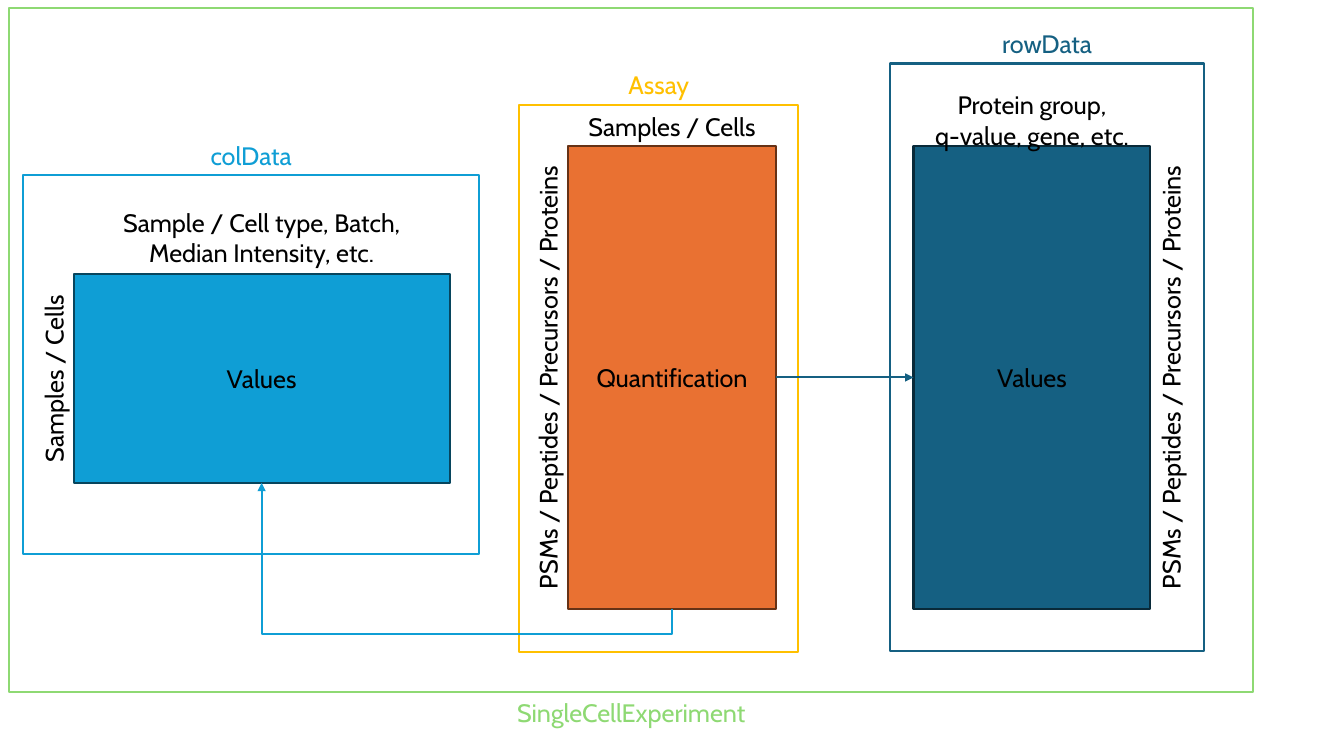
from dataclasses import dataclass

from lxml import etree
from pptx import Presentation
from pptx.dml.color import RGBColor
from pptx.enum.shapes import MSO_CONNECTOR, MSO_SHAPE
from pptx.enum.text import MSO_AUTO_SIZE, PP_ALIGN
from pptx.oxml.ns import qn
from pptx.util import Inches, Pt

RECT = MSO_SHAPE.RECTANGLE
STRAIGHT, ELBOW = MSO_CONNECTOR.STRAIGHT, MSO_CONNECTOR.ELBOW
CENTER, GROW = PP_ALIGN.CENTER, MSO_AUTO_SIZE.SHAPE_TO_FIT_TEXT

FONT, SIZE, STROKE = "Cabin", Pt(18), Pt(1.5)
HEX = {
    "black": "000000", "gold": "FFC000", "green": "8ED973",
    "orange": "E97132", "rust": "663216",
    "teal": "156082", "ink": "092A39",
    "blue": "0F9ED5", "navy": "07455D",
}

# All lengths are percent shares of the slide's width and height
WIDE, HIGH = Inches(13.33), Inches(7.5)
COL, ROW = WIDE / 100, HIGH / 100
LABEL = 5.33   # height of one line of text
DROP = 3.33    # depth of the elbow below the assay


@dataclass
class Box:
    x: float
    y: float
    w: float
    h: float

    @property
    def mid(self) -> float:
        return self.x + self.w / 2

    @property
    def center(self) -> float:
        return self.y + self.h / 2

    @property
    def right(self) -> float:
        return self.x + self.w

    @property
    def base(self) -> float:
        return self.y + self.h

    def place(self) -> tuple[int, int, int, int]:
        return (round(self.x * COL), round(self.y * ROW),
                round(self.w * COL), round(self.h * ROW))


@dataclass
class Panel:
    title: str
    hue: str
    frame: Box
    core: Box
    fill: str
    edge: str
    value: str
    head: str
    head_box: Box
    side: str
    on_left: bool = True


PANELS = [
    Panel("Assay", "gold", Box(38.63, 13.87, 20.78, 72.4),
          Box(42.24, 19.33, 15.53, 61.2), "orange", "rust", "Quantification",
          "Samples / Cells", Box(42.24, 14, 15.53, LABEL),
          "PSMs / Peptides / Precursors / Proteins"),
    Panel("rowData", "teal", Box(66.24, 8.4, 23.33, 77.73),
          Box(67.97, 19.33, 17.63, 61.2), "teal", "ink", "Values",
          "Protein group,\nq-value, gene, etc.", Box(67.97, 11.2, 17.63, 9.47),
          "PSMs / Peptides / Precursors / Proteins", False),
    Panel("colData", "blue", Box(1.73, 23.2, 33.91, 50.13),
          Box(5.48, 36.27, 27.98, 27.6), "blue", "navy", "Values",
          "Sample / Cell type, Batch, Median Intensity, etc.",
          Box(5.48, 26.8, 27.98, 9.47), "Samples / Cells"),
]
OUTER = Box(0.68, 1.07, 92.57, 90.53)


def tint(name: str) -> RGBColor:
    return RGBColor.from_string(HEX[name])


def add_rect(shapes, box: Box, edge: str, fill: str | None = None):
    rect = shapes.add_shape(RECT, *box.place())
    rect.shadow.inherit = False
    if fill:
        rect.fill.solid()
        rect.fill.fore_color.rgb = tint(fill)
    else:
        rect.fill.background()
    rect.line.color.rgb = tint(edge)
    rect.line.width = STROKE
    return rect


def add_text(shapes, box: Box, words: str, hue: str = "black"):
    text = shapes.add_textbox(*box.place())
    frame = text.text_frame
    frame.word_wrap = True
    frame.auto_size = GROW
    para = frame.paragraphs[0]
    para.alignment = CENTER
    for i, part in enumerate(words.split("\n")):
        if i:
            para.add_line_break()
        run = para.add_run()
        run.text = part
        run.font.name, run.font.size = FONT, SIZE
        run.font.color.rgb = tint(hue)
    return text


def add_side(shapes, panel: Panel) -> None:
    """Text turned upward, as long as the core is high, flush to its side."""
    core = panel.core
    tall, thick = core.h * ROW / COL, LABEL * ROW / COL
    mid = core.x - thick / 2 if panel.on_left else core.right + thick / 2
    box = Box(mid - tall / 2, core.center - LABEL / 2, tall, LABEL)
    add_text(shapes, box, panel.side).rotation = 270


def add_panel(shapes, panel: Panel):
    core, frame = panel.core, panel.frame
    rect = add_rect(shapes, core, panel.edge, panel.fill)
    add_text(shapes, Box(core.x, core.center - LABEL / 2, core.w, LABEL), panel.value)
    add_text(shapes, panel.head_box, panel.head)
    add_side(shapes, panel)
    add_rect(shapes, frame, panel.hue)
    add_text(shapes, Box(frame.x, frame.y - LABEL, frame.w, LABEL), panel.title, panel.hue)
    return rect


def add_arrow(shapes, kind, hue: str, ends: tuple[float, float, float, float]):
    arrow = shapes.add_connector(kind, *(round(end) for end in ends))
    arrow.line.color.rgb = tint(hue)
    arrow.line.width = STROKE
    etree.SubElement(arrow.line._get_or_add_ln(), qn("a:tailEnd"), type="triangle")
    etree.SubElement(arrow._element.spPr, qn("a:effectLst"))
    return arrow


def add_elbow(shapes, start: Box, end: Box, hue: str) -> None:
    """Base of start to base of end: a bent line turned by a quarter."""
    rise, run = (start.base - end.base) * ROW, (start.mid - end.mid) * COL
    mid = (start.mid + end.mid) / 2 * COL
    center = (start.base + end.base) / 2 * ROW
    arrow = add_arrow(shapes, ELBOW, hue, (
        mid + rise / 2, center - run / 2, mid - rise / 2, center + run / 2))
    props = arrow._element.spPr
    props.find(qn("a:xfrm")).set("rot", str(90 * 60000))
    bend = round(-DROP * ROW / rise * 100000)
    guides = props.find(qn("a:prstGeom")).find(qn("a:avLst"))
    etree.SubElement(guides, qn("a:gd"), name="adj1", fmla=f"val {bend}")


def main() -> None:
    deck = Presentation()
    deck.slide_width, deck.slide_height = WIDE, HIGH
    shapes = deck.slides.add_slide(deck.slide_layouts[6]).shapes

    # Three data panels
    assay, rows, _ = [add_panel(shapes, panel) for panel in PANELS]

    # Links from the assay to its row and column data
    link = add_arrow(shapes, STRAIGHT, "teal", (0, 0, 0, 0))
    link.begin_connect(assay, 3)
    link.end_connect(rows, 1)
    add_elbow(shapes, PANELS[0].core, PANELS[2].core, "blue")

    # Outer frame with its title below
    add_rect(shapes, OUTER, "green")
    add_text(shapes, Box(OUTER.x, OUTER.base, OUTER.w, LABEL), "SingleCellExperiment", "green")

    deck.save("out.pptx")


if __name__ == "__main__":
    main()
